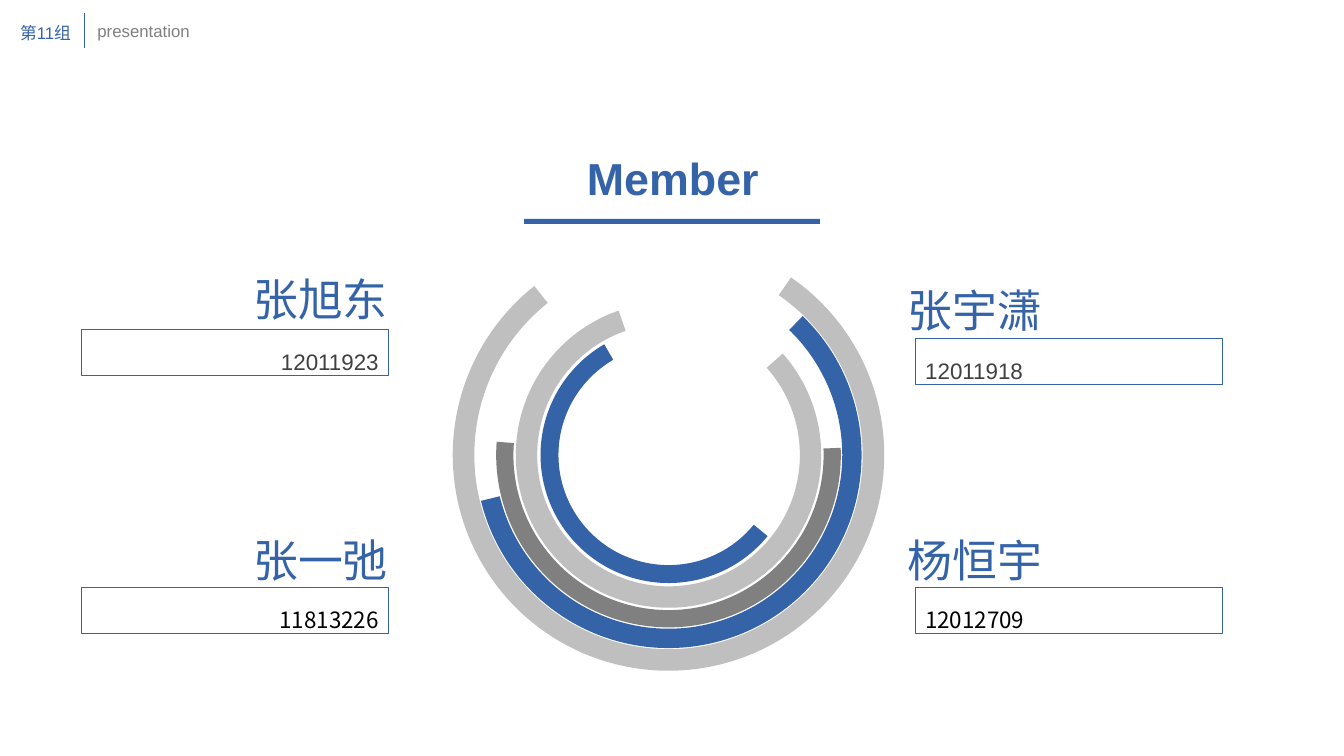
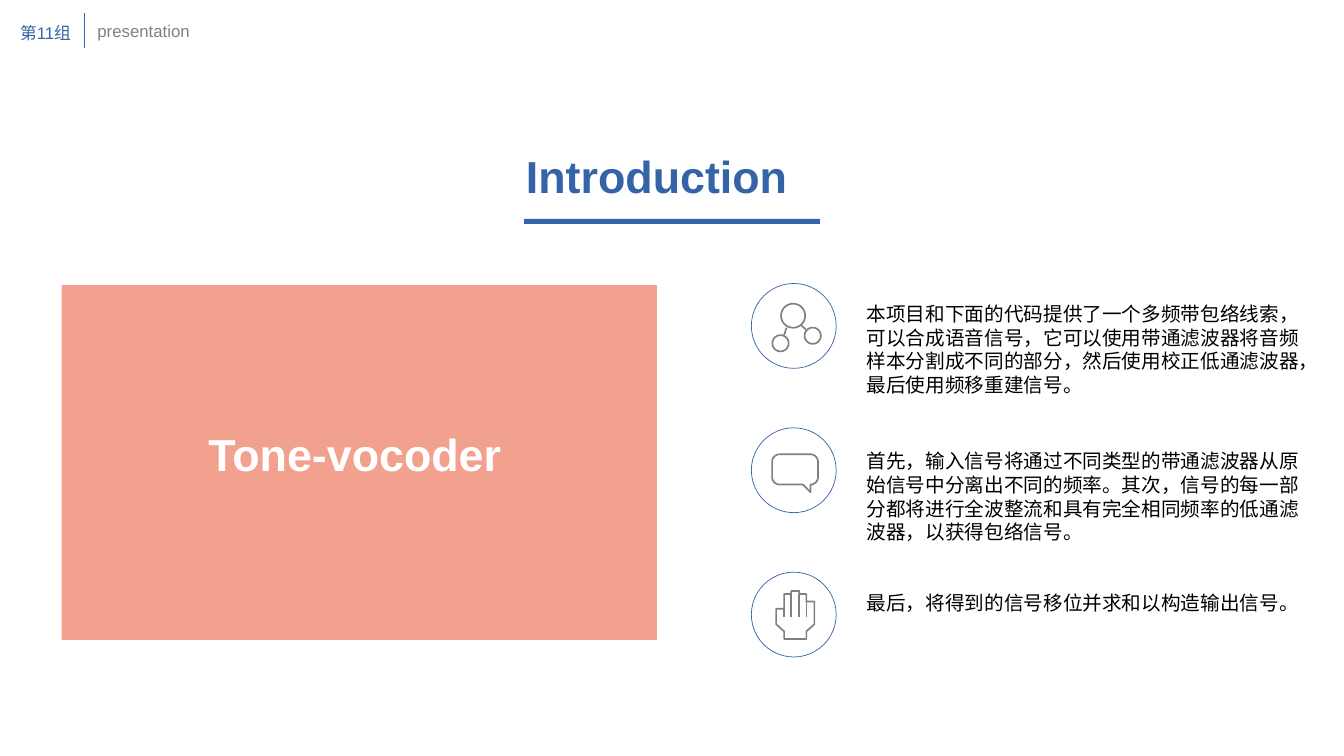
import math

import pptx
import pptx.dml.color
import pptx.enum.shapes
import pptx.enum.text
import pptx.oxml.ns
import pptx.util
from lxml import etree

Pt = pptx.util.Pt
SHAPES = pptx.enum.shapes.MSO_SHAPE
ALIGNMENTS = {
    "left": pptx.enum.text.PP_ALIGN.LEFT,
    "center": pptx.enum.text.PP_ALIGN.CENTER,
    "right": pptx.enum.text.PP_ALIGN.RIGHT,
}

# Shared style
BLUE, GREY, LIGHT_GREY, DARK_GREY = "3563A8", "808080", "BFBFBF", "404040"
BLACK, WHITE, CORAL = "000000", "FFFFFF", "E94520"
LATIN_FONT, CHINESE_FONT = "Arial", "Noto Sans CJK SC"

# Members: name, number, side, name top, box top, number font, number colour
MEMBERS = [
    ("张旭东", "12011923", "right", 190.8, 235.4, LATIN_FONT, DARK_GREY),
    ("张宇潇", "12011918", "left", 198.7, 241.9, LATIN_FONT, DARK_GREY),
    ("张一弛", "11813226", "right", 377.3, 419.6, CHINESE_FONT, BLACK),
    ("杨恒宇", "12012709", "left", 377.3, 419.6, CHINESE_FONT, BLACK),
]
MEMBER_COLUMNS = {"right": (56, 58.3), "left": (641.5, 653.8)}

# Rings: diameter, rotation, start angle, end angle, thickness, colour
RING_CENTER = (477.5, 325)
RINGS = [
    (275.8, 60, 254, 106.26, 0.05, BLUE),
    (308.2, 82.5, 222.11, 149.05, 0.05, LIGHT_GREY),
    (246.2, 197.6, 160, 346.83, 0.05, GREY),
    (218.2, 148.4, 170, 102.55, 0.07, LIGHT_GREY),
    (182.9, 135, 264.32, 104.84, 0.07, BLUE),
]

# Introduction: text, text top, text height
POINTS = [
    ("本项目和下面的代码提供了一个多频带包络线索，可以合成语音信号，它可以使用带通滤波器将音频样本分割成不同的部分，"
     "然后使用校正低通滤波器，最后使用频移重建信号。", 212, 74.9),
    ("首先，输入信号将通过不同类型的带通滤波器从原始信号中分离出不同的频率。其次，信号的每一部分都将进行全波整流和"
     "具有完全相同频率的低通滤波器，以获得包络信号。", 317.3, 74.9),
    ("最后，将得到的信号移位并求和以构造输出信号。", 418.3, 24.5),
]
ICON_X, FIRST_ICON_Y, ICON_PITCH, ICON_RADIUS = 567, 232.8, 103.1, 30.3

# Icon drawings, measured from the centre of their circle
ATOMS = [(-0.5, -7.3, 8.6), (-9.5, 12.4, 5.8), (13.5, 7, 5.8)]
BONDS = [[(-5.2, 1.2), (-6.9, 6.6)], [(5.1, -0.6), (8.8, 2.7)]]
HAND = [
    (-12.6, -4.2), (-6.9, -4.2), (-6.9, -14.7), (-1.9, -14.7), (-1.9, -16.8),
    (3.9, -16.8), (3.9, -14.7), (9, -14.7), (9, -9.3), (14.7, -9.3),
    (14.7, 6.9), (9, 12), (9, 17.4), (-6.9, 17.4), (-6.9, 12), (-12.6, 6.9),
]
FINGERS = [(-6.9, -4.2), (-1.9, -14.7), (3.9, -14.7), (9, -9.3)]
FINGER_BOTTOM = 1.5


def color(value):
    return pptx.dml.color.RGBColor.from_string(value)


def write_text(shape, text, *, size, text_color, font=LATIN_FONT, bold=False,
               align="left", line_height=None):
    frame = shape.text_frame
    frame.word_wrap = True
    frame.auto_size = pptx.enum.text.MSO_AUTO_SIZE.NONE
    frame.vertical_anchor = pptx.enum.text.MSO_ANCHOR.TOP
    frame.margin_left = frame.margin_right = Pt(7.2)
    frame.margin_top = frame.margin_bottom = Pt(3.6)
    paragraph = frame.paragraphs[0]
    paragraph.alignment = ALIGNMENTS[align]
    if line_height:
        paragraph.line_spacing = Pt(line_height)
    run = paragraph.add_run()
    run.text = text
    run.font.name = font
    run.font.size = Pt(size)
    run.font.bold = bold
    run.font.color.rgb = color(text_color)
    east_asian = etree.SubElement(run.font._element, pptx.oxml.ns.qn("a:ea"))
    east_asian.set("typeface", CHINESE_FONT)


def add_text(slide, text, left, top, width, height, **text_format):
    shape = slide.shapes.add_textbox(Pt(left), Pt(top), Pt(width), Pt(height))
    write_text(shape, text, **text_format)


def paint(shape, fill=None, line=None, weight=0.5):
    shape.shadow.inherit = False
    if fill:
        shape.fill.solid()
        shape.fill.fore_color.rgb = color(fill)
    else:
        shape.fill.background()
    if line:
        shape.line.color.rgb = color(line)
        shape.line.width = Pt(weight)
    else:
        shape.line.fill.background()


def add_shape(slide, kind, left, top, width, height, **style):
    shape = slide.shapes.add_shape(kind, Pt(left), Pt(top), Pt(width), Pt(height))
    paint(shape, **style)
    return shape


def add_line(slide, x1, y1, x2, y2, line_color, weight):
    line = slide.shapes.add_connector(
        pptx.enum.shapes.MSO_CONNECTOR.STRAIGHT, Pt(x1), Pt(y1), Pt(x2), Pt(y2))
    line.line.color.rgb = color(line_color)
    line.line.width = Pt(weight)
    etree.SubElement(line._element.spPr, pptx.oxml.ns.qn("a:effectLst"))


# Title, rule and header of every slide
def add_slide(presentation, title, left, top):
    slide = presentation.slides.add_slide(presentation.slide_layouts[5])
    shape = slide.shapes.title
    shape.left, shape.top, shape.width, shape.height = Pt(left), Pt(top), Pt(380.9), Pt(46)
    write_text(shape, title, size=32, text_color=BLUE, bold=True, align="center")
    add_shape(slide, SHAPES.RECTANGLE, 374.4, 156.4, 211.3, 3.6, fill=BLUE)
    add_line(slide, 60.5, 9.4, 60.5, 34.6, BLUE, 0.5)
    add_text(slide, "第11组", 7.2, 13, 51.1, 21.6, size=12, text_color=BLUE, line_height=14.3)
    add_text(slide, "presentation", 62.5, 11.3, 90, 21.6, size=12, text_color=GREY)
    return slide


# Icons: each is a list of outlines and a list of open strokes
def arc(x, y, radius, start, sweep):
    angles = [math.radians(start + step) for step in range(0, sweep + 1, 10)]
    return [(x + radius * math.cos(angle), y + radius * math.sin(angle)) for angle in angles]


def molecule():
    return [arc(x, y, radius, 0, 350) for x, y, radius in ATOMS], BONDS


def bubble():
    left, top, right, bottom, radius = -15.5, -11.4, 17.3, 10.2, 5.4
    corners = [
        (left + radius, bottom - radius, 90), (left + radius, top + radius, 180),
        (right - radius, top + radius, 270), (right - radius, bottom - radius, 0),
    ]
    outline = [(6.5, bottom)]
    for x, y, start in corners:
        outline += arc(x, y, radius, start, 90)
    outline.append((right - radius, bottom + 5.4))
    return [outline], []


def hand():
    return [HAND], [[(x, top), (x, FINGER_BOTTOM)] for x, top in FINGERS]


def draw_icon(slide, x, y, outlines, strokes):
    builder = None
    for points, close in [(p, True) for p in outlines] + [(p, False) for p in strokes]:
        corners = [(Pt(x + dx), Pt(y + dy)) for dx, dy in points]
        if builder is None:
            builder = slide.shapes.build_freeform(*corners[0])
        else:
            builder.move_to(*corners[0])
        builder.add_line_segments(corners[1:], close=close)
    paint(builder.convert_to_shape(), line=GREY, weight=1.2)


def build_members(presentation):
    slide = add_slide(presentation, "Member", 290.2, 103.9)
    center_x, center_y = RING_CENTER
    for diameter, rotation, start, end, thickness, ring_color in RINGS:
        ring = add_shape(slide, SHAPES.BLOCK_ARC, center_x - diameter / 2,
                         center_y - diameter / 2, diameter, diameter, fill=ring_color)
        ring.rotation = rotation
        # Angles are stored in 60000ths of a degree, adjustments in 100000ths
        for index, value in enumerate((start * 0.6, end * 0.6, thickness)):
            ring.adjustments[index] = value
    for name, number, align, name_top, box_top, font, number_color in MEMBERS:
        name_left, box_left = MEMBER_COLUMNS[align]
        add_text(slide, name, name_left, name_top, 228.2, 46, size=32,
                 text_color=BLUE, align=align, line_height=38.3)
        box = add_shape(slide, SHAPES.RECTANGLE, box_left, box_top, 219.3, 33, line=BLUE)
        write_text(box, number, size=16, text_color=number_color, font=font,
                   align=align, line_height=29)


def build_introduction(presentation):
    slide = add_slide(presentation, "Introduction", 278.7, 102.6)
    # Points with icons
    for index, ((text, top, height), icon) in enumerate(zip(POINTS, (molecule, bubble, hand))):
        icon_y = FIRST_ICON_Y + index * ICON_PITCH
        add_shape(slide, SHAPES.OVAL, ICON_X - ICON_RADIUS, icon_y - ICON_RADIUS,
                  2 * ICON_RADIUS, 2 * ICON_RADIUS, line=BLUE)
        draw_icon(slide, ICON_X, icon_y, *icon())
        add_text(slide, text, 612, top, 324.7, height, size=14,
                 text_color=BLACK, line_height=16.9)
    # Coral panel, half transparent
    panel = add_shape(slide, SHAPES.RECTANGLE, 44, 203.6, 425.3, 253.5, fill=CORAL)
    fill_color = panel._element.spPr.find(".//" + pptx.oxml.ns.qn("a:srgbClr"))
    etree.SubElement(fill_color, pptx.oxml.ns.qn("a:alpha")).set("val", "50000")
    add_text(slide, "Tone-vocoder", 141.7, 301, 229.7, 46, size=32,
             text_color=WHITE, bold=True)


def main():
    presentation = pptx.Presentation()
    presentation.slide_width, presentation.slide_height = Pt(960), Pt(540)
    build_members(presentation)
    build_introduction(presentation)
    presentation.save("out.pptx")


if __name__ == "__main__":
    main()
